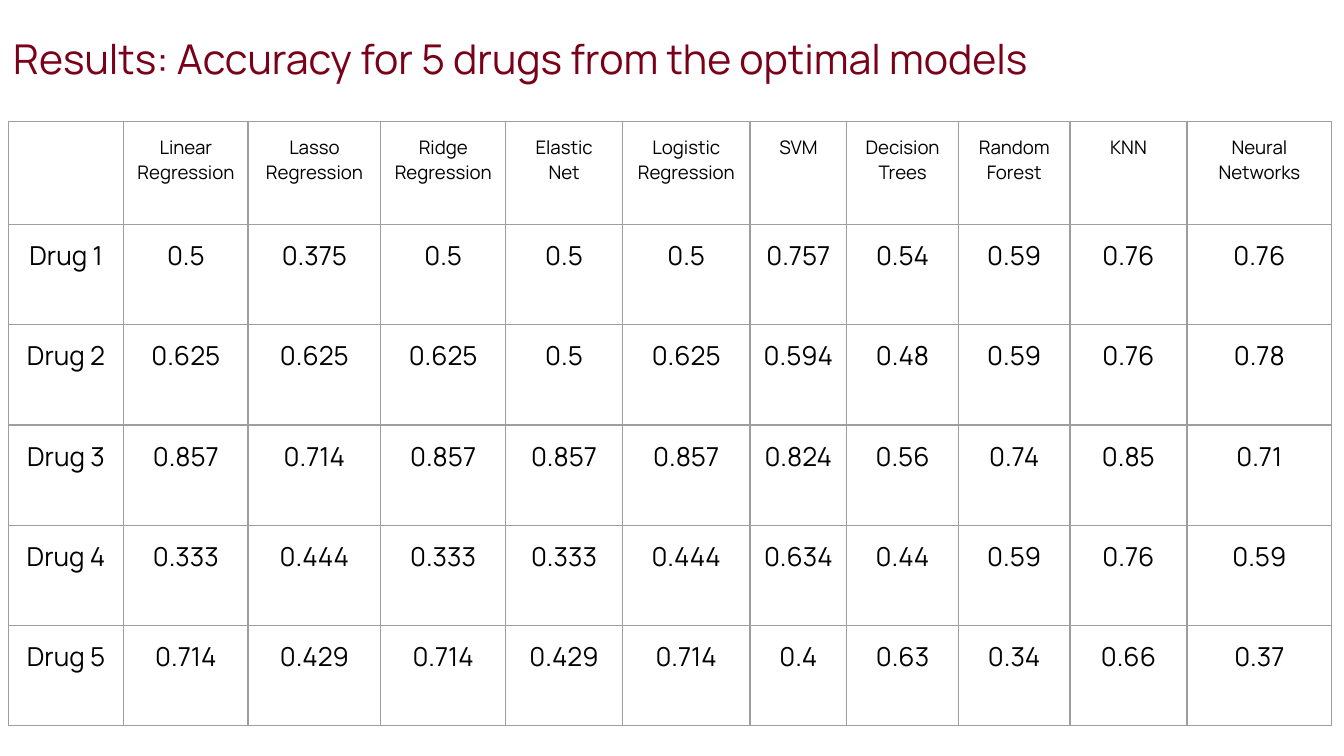
import lxml.etree
import pptx
import pptx.dml.color
import pptx.enum.text
import pptx.oxml.ns
import pptx.util

FONT = "Manrope"
COLUMN_WIDTHS = [2.18, 2.35, 2.51, 2.36, 2.21, 2.41, 1.83, 2.11, 2.11, 2.21, 2.74]
HEADER_HEIGHT = 1.95
MODELS = [
    "Linear\nRegression", "Lasso\nRegression", "Ridge\nRegression", "Elastic Net",
    "Logistic Regression", "SVM", "Decision Trees", "Random Forest", "KNN",
    "Neural Networks",
]
ACCURACIES = [
    ["0.5", "0.375", "0.5", "0.5", "0.5", "0.757", "0.54", "0.59", "0.76", "0.76"],
    ["0.625", "0.625", "0.625", "0.5", "0.625", "0.594", "0.48", "0.59", "0.76", "0.78"],
    ["0.857", "0.714", "0.857", "0.857", "0.857", "0.824", "0.56", "0.74", "0.85", "0.71"],
    ["0.333", "0.444", "0.333", "0.333", "0.444", "0.634", "0.44", "0.59", "0.76", "0.59"],
    ["0.714", "0.429", "0.714", "0.429", "0.714", "0.4", "0.63", "0.34", "0.66", "0.37"],
]


def color(value):
    """Return the colour for a hex string."""
    return pptx.dml.color.RGBColor.from_string(value)


def write_text(text_frame, text, size=14, fill="000000", align="CENTER"):
    """Write text into a frame, one paragraph for each line."""
    text_frame.text = text
    for paragraph in text_frame.paragraphs:
        paragraph.alignment = getattr(pptx.enum.text.PP_ALIGN, align)
        for run in paragraph.runs:
            run.font.name = FONT
            run.font.size = pptx.util.Pt(size)
            run.font.bold = False
            run.font.color.rgb = color(fill)


def set_margins(target):
    """Give a cell or text frame equal margins on all sides."""
    for side in ("left", "top", "right", "bottom"):
        setattr(target, f"margin_{side}", pptx.util.Cm(0.25))


def set_borders(cell, fill="9E9E9E", width=0.75):
    """Draw a solid line on each side of a cell."""
    properties = cell._tc.get_or_add_tcPr()
    for side in ("lnL", "lnR", "lnT", "lnB"):
        line = lxml.etree.SubElement(properties, pptx.oxml.ns.qn(f"a:{side}"))
        line.set("w", str(pptx.util.Pt(width)))
        solid = lxml.etree.SubElement(line, pptx.oxml.ns.qn("a:solidFill"))
        lxml.etree.SubElement(solid, pptx.oxml.ns.qn("a:srgbClr")).set("val", fill)


def place_title(slide, text, left, top, width, height):
    """Move the title placeholder into its box and format it."""
    title = slide.shapes.title
    title.left, title.top = pptx.util.Cm(left), pptx.util.Cm(top)
    title.width, title.height = pptx.util.Cm(width), pptx.util.Cm(height)
    text_frame = title.text_frame
    set_margins(text_frame)
    text_frame.word_wrap = True
    text_frame.auto_size = pptx.enum.text.MSO_AUTO_SIZE.NONE
    text_frame.vertical_anchor = pptx.enum.text.MSO_ANCHOR.TOP
    write_text(text_frame, text, size=22, fill="7A0019", align="LEFT")


def place_accuracy_table(slide, left, top, width, height):
    """Build the table of accuracy by drug and model in its box."""
    rows = [["", *MODELS]]
    rows += [[f"Drug {number}", *values] for number, values in enumerate(ACCURACIES, 1)]
    table = slide.shapes.add_table(
        len(rows), len(COLUMN_WIDTHS), pptx.util.Cm(left), pptx.util.Cm(top),
        pptx.util.Cm(width), pptx.util.Cm(height),
    ).table
    table.first_row = table.horz_banding = False
    scale = width / sum(COLUMN_WIDTHS)
    for column, column_width in zip(table.columns, COLUMN_WIDTHS):
        column.width = pptx.util.Cm(column_width * scale)
    drug_height = (height - HEADER_HEIGHT) / len(ACCURACIES)
    for row_index, texts in enumerate(rows):
        is_header = row_index == 0
        table.rows[row_index].height = pptx.util.Cm(HEADER_HEIGHT if is_header else drug_height)
        for column_index, text in enumerate(texts):
            cell = table.cell(row_index, column_index)
            set_margins(cell)
            set_borders(cell)
            cell.fill.background()
            write_text(cell.text_frame, text, size=10 if is_header else 14)


def main():
    """Build the results slide and save it."""
    presentation = pptx.Presentation()
    presentation.slide_width = pptx.util.Cm(25.4)
    presentation.slide_height = pptx.util.Cm(14.29)
    slide = presentation.slides.add_slide(presentation.slide_layouts[5])
    place_title(slide, "Results: Accuracy for 5 drugs from the optimal models", 0, 0.38, 23.67, 1.6)
    place_accuracy_table(slide, 0.16, 2.29, 25.02, 11.43)
    presentation.save("out.pptx")


if __name__ == "__main__":
    main()
